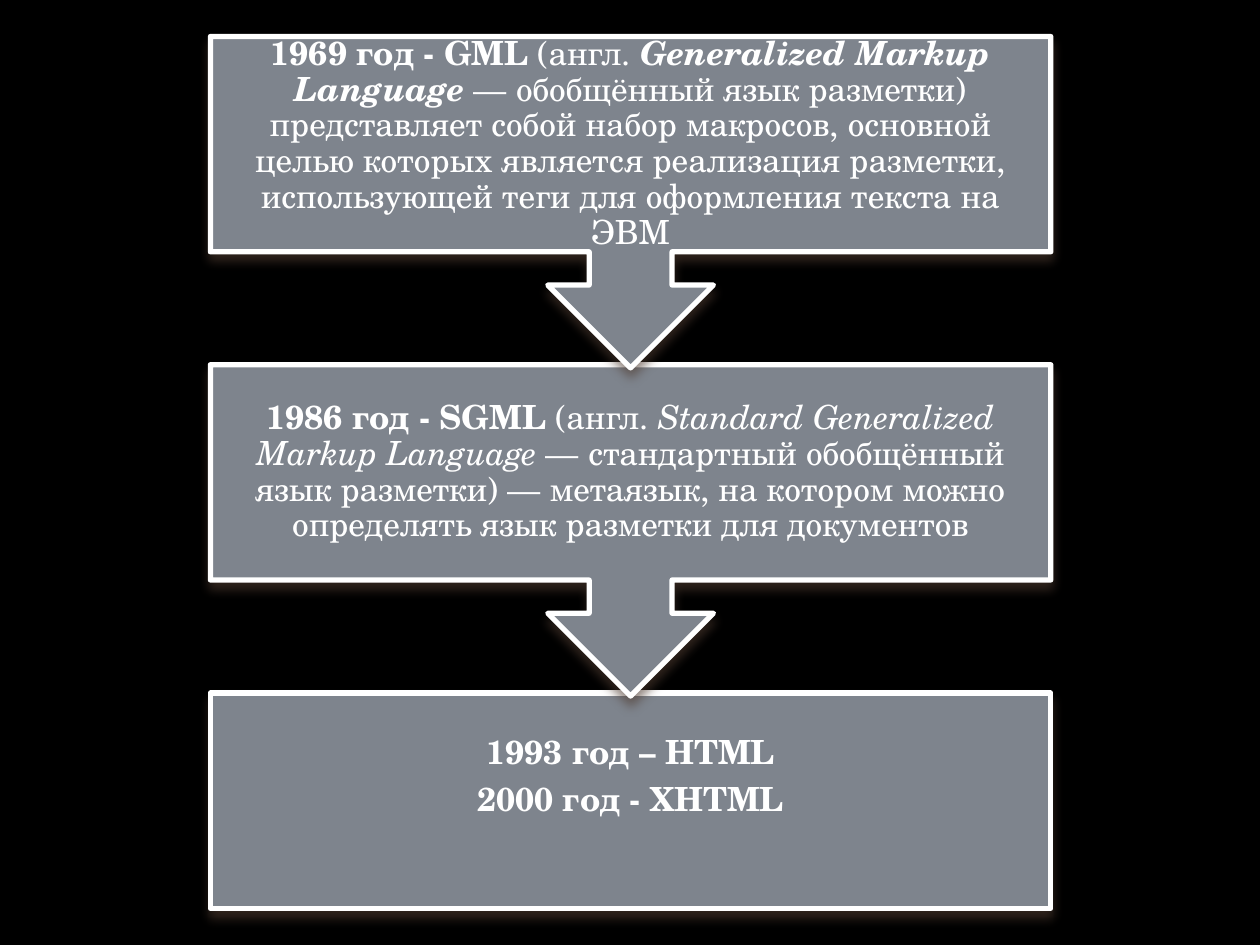
from lxml import etree
from pptx import Presentation
from pptx.dml.color import RGBColor
from pptx.enum.shapes import MSO_SHAPE as SHAPE
from pptx.enum.text import MSO_ANCHOR as ANCHOR, PP_ALIGN as ALIGN
from pptx.oxml import parse_xml
from pptx.oxml.ns import nsdecls, qn
from pptx.util import Inches, Pt

BLACK = RGBColor(0x00, 0x00, 0x00)
WHITE = RGBColor(0xFF, 0xFF, 0xFF)
GRAY = RGBColor(0x7E, 0x84, 0x8D)
BROWN = RGBColor(0x4E, 0x3B, 0x30)

LEFT, WIDTH = 1.67, 6.67
TOP, STEP = 0.29, 2.605
BOX_H, CALLOUT_H = 1.71, 2.63
INSET = 0.15

GML = [[
    ("1969 год - GML", "b"),
    (" (англ. ", ""),
    ("Generalized Markup Language", "bi"),
    (" — обобщённый язык разметки) представляет собой набор макросов, "
     "основной целью которых является реализация разметки, "
     "использующей теги для оформления текста на ЭВМ", ""),
]]
SGML = [[
    ("1986 год - SGML", "b"),
    (" (англ. ", ""),
    ("Standard Generalized Markup Language", "i"),
    (" — стандартный обобщённый язык разметки) — метаязык, "
     "на котором можно определять язык разметки для документов", ""),
]]
HTML = [[("1993 год – HTML", "b")], [("2000 год - XHTML", "b")]]


class Deck:
    """Style and current slide of the markup language timeline."""

    font = "TeX Gyre Schola"
    size = Pt(19)

    def __init__(self, prs):
        self.s = prs.slides.add_slide(prs.slide_layouts[6])
        fill = self.s.background.fill
        fill.solid()
        fill.fore_color.rgb = BLACK

    def shadow(self, sp):
        sp.shadow.inherit = False
        effects = sp._element.spPr.find(qn("a:effectLst"))
        outer = parse_xml(
            f'<a:outerShdw {nsdecls("a")} blurRad="{Pt(6)}" dist="{Pt(4)}" '
            f'dir="5400000" rotWithShape="0"><a:srgbClr val="{BROWN}"/></a:outerShdw>')
        etree.SubElement(outer[0], qn("a:alpha"), val="60000")
        effects.append(outer)

    def text(self, sp, paragraphs, bottom):
        tf = sp.text_frame
        tf.word_wrap = True
        tf.vertical_anchor = ANCHOR.MIDDLE
        tf.margin_left = tf.margin_right = tf.margin_top = Inches(INSET)
        tf.margin_bottom = Inches(bottom)
        for i, runs in enumerate(paragraphs):
            p = tf.add_paragraph() if i else tf.paragraphs[0]
            p.alignment = ALIGN.CENTER
            p.line_spacing = 0.9
            p.space_after = Pt(6.3)
            for words, style in runs:
                r = p.add_run()
                r.text = words
                r.font.name, r.font.size = self.font, self.size
                r.font.bold, r.font.italic = "b" in style, "i" in style
                r.font.color.rgb = WHITE

    def block(self, kind, top, height, paragraphs, bottom=INSET):
        sp = self.s.shapes.add_shape(
            kind, Inches(LEFT), Inches(top), Inches(WIDTH), Inches(height))
        sp.fill.solid()
        sp.fill.fore_color.rgb = GRAY
        sp.line.color.rgb = WHITE
        sp.line.width = Pt(3)
        self.shadow(sp)
        self.text(sp, paragraphs, bottom)

    def box(self, row, paragraphs, bottom):
        self.block(SHAPE.RECTANGLE, TOP + row * STEP, BOX_H, paragraphs, bottom)

    def callout(self, row, paragraphs):
        self.block(SHAPE.DOWN_ARROW_CALLOUT, TOP + row * STEP, CALLOUT_H, paragraphs)


def main():
    prs = Presentation()
    prs.slide_width, prs.slide_height = Inches(10), Inches(7.5)
    deck = Deck(prs)
    deck.box(2, HTML, bottom=0.52)
    deck.callout(1, SGML)
    deck.callout(0, GML)
    prs.save("out.pptx")


if __name__ == "__main__":
    main()
